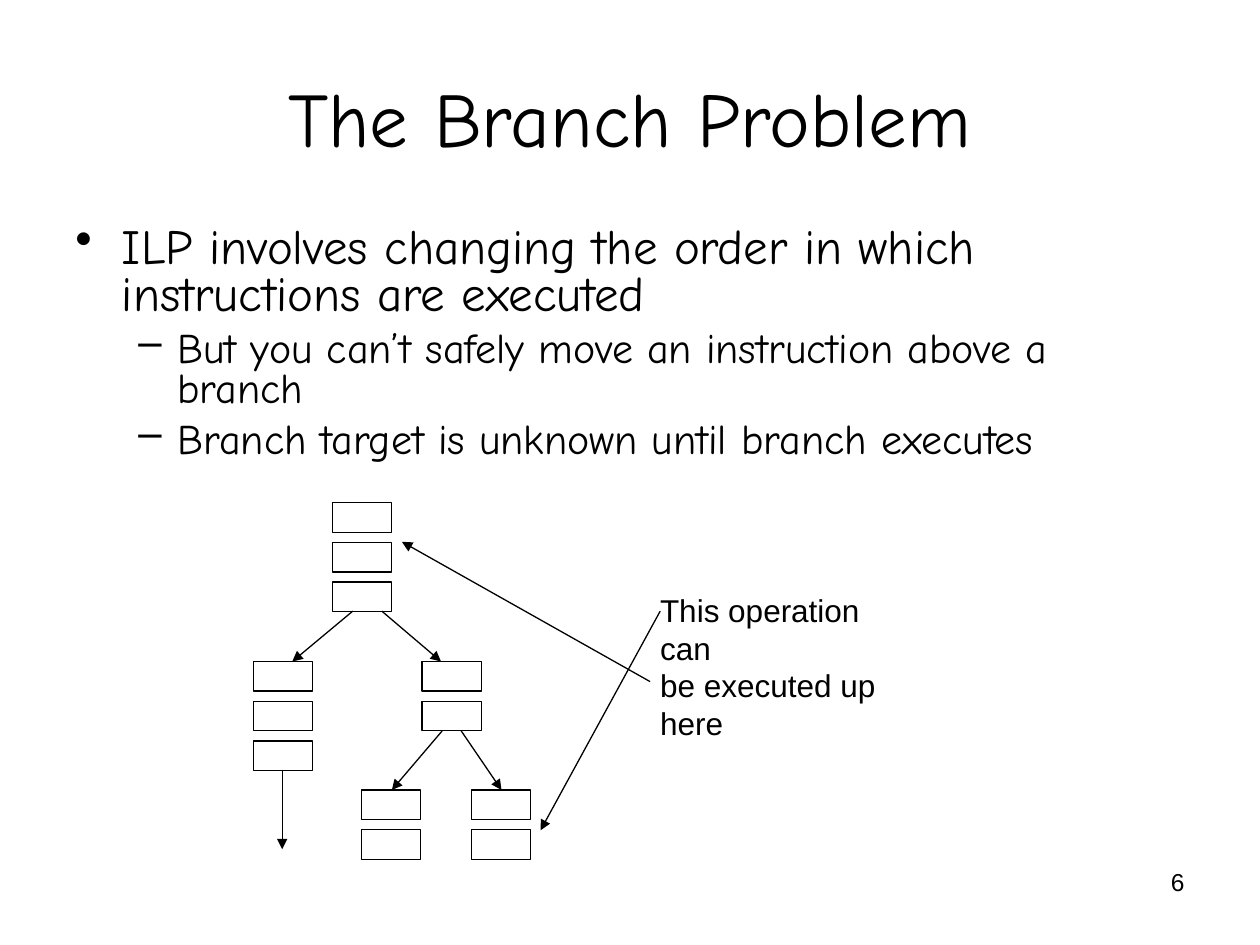
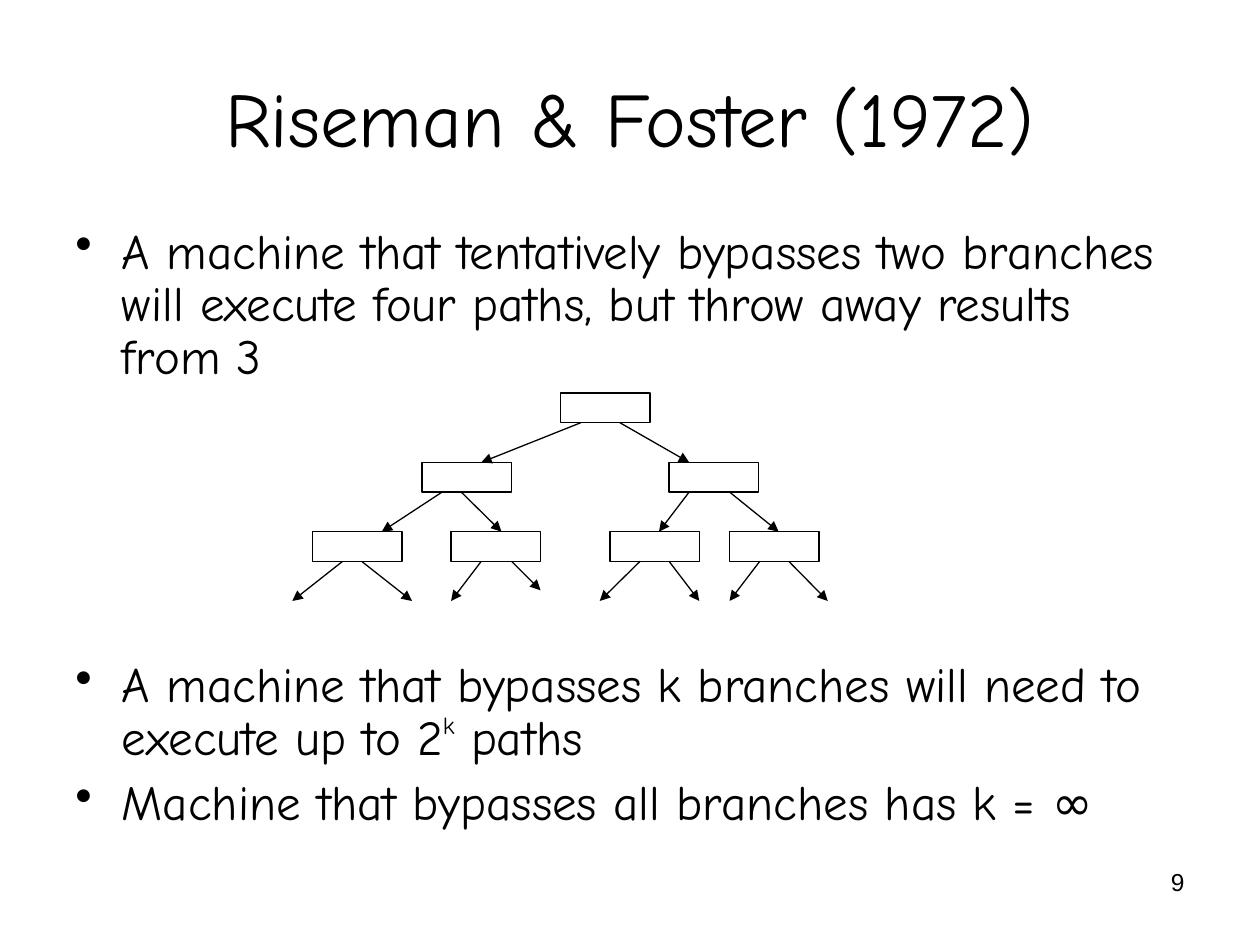
from dataclasses import dataclass
from typing import Sequence

from lxml import etree
from pptx import Presentation
from pptx import util as u
from pptx.dml.color import RGBColor
from pptx.enum import shapes, text
from pptx.oxml.ns import qn

SCALE = u.Inches(1) // 200  # one px is 1/200 inch
BOX_HEIGHT = 47


@dataclass(frozen=True)
class Theme:
    ink: str = "000000"
    display_font: str = "Comic Neue"
    plain_font: str = "Arial"
    title_size: int = 44
    callout_size: int = 18
    number_size: int = 14
    raised_size: int = 24
    line_width: float = 0.75


@dataclass(frozen=True)
class Area:
    left: int
    top: int
    width: int
    height: int


@dataclass(frozen=True)
class Level:
    bullet: str
    size: int
    margin: int
    hanging: int
    space_before: int


@dataclass(frozen=True)
class Span:
    words: str
    raised: bool = False


@dataclass(frozen=True)
class Point:
    level: Level
    spans: Sequence[Span]
    space_before: int | None = None


@dataclass(frozen=True)
class Stack:
    left: int
    top: int
    count: int


@dataclass(frozen=True)
class Arrow:
    x1: int
    y1: int
    x2: int
    y2: int


@dataclass(frozen=True)
class TreeRow:
    """Boxes of one level, and the (start, end) x of the arrows below them."""
    lefts: Sequence[int]
    branches: Sequence[tuple[int, int]]


THEME = Theme()
TITLE_AREA = Area(100, 60, 1800, 250)
NUMBER_AREA = Area(1434, 1366, 466, 104)
MAIN = Level("•", 28, 74, 74, 7)
SUB = Level("–", 24, 162, 62, 6)

BRANCH_POINTS = (
    Point(MAIN, (Span("ILP involves changing the order in which instructions are executed"),)),
    Point(SUB, (Span("But you can’t safely move an instruction above a branch"),)),
    Point(SUB, (Span("Branch target is unknown until branch executes"),)),
)
STACK_WIDTH, STACK_PITCH = 94, 63
STACKS = (
    Stack(528, 798, 3),
    Stack(402, 1050, 3),
    Stack(670, 1050, 2),
    Stack(574, 1254, 2),
    Stack(748, 1254, 2),
)
STACK_ARROWS = (
    Arrow(606, 970, 700, 1050),
    Arrow(560, 970, 464, 1050),
    Arrow(732, 1160, 796, 1254),
    Arrow(702, 1160, 622, 1254),
    Arrow(448, 1222, 448, 1348),
)
CALLOUT_ARROWS = (
    Arrow(1032, 1082, 638, 860),
    Arrow(1048, 970, 858, 1318),
)

DIAGRAM_GAP = 157  # points left free for the tree between two bullets
BYPASS_POINTS = (
    Point(MAIN, (Span("A machine that tentatively bypasses two branches will execute "
                      "four paths, but throw away results from 3"),)),
    Point(MAIN, (Span("A machine that bypasses k branches will need to execute up to 2"),
                 Span("k", raised=True), Span(" paths")), DIAGRAM_GAP),
    Point(MAIN, (Span("Machine that bypasses all branches has k = ∞"),)),
)
TREE_TOP, TREE_PITCH, TREE_WIDTH = 624, 110, 142
BRANCH_DROP = TREE_PITCH - BOX_HEIGHT
SHORT_BRANCH, SHORT_DROP = (812, 858), 46
TREE_ROWS = (
    TreeRow((890,), ((922, 764), (984, 1094))),
    TreeRow((670, 1062), ((702, 606), (732, 796), (1094, 1046), (1158, 1236))),
    TreeRow((496, 716, 968, 1158),
            ((544, 464), (574, 654), (764, 716), SHORT_BRANCH,
             (1016, 952), (1062, 1110), (1206, 1158), (1252, 1314))),
)


def px(length: int) -> u.Emu:
    return u.Emu(length * SCALE)


def ink() -> RGBColor:
    return RGBColor.from_string(THEME.ink)


def style_span(span, size: int, font: str) -> None:
    span.font.size = u.Pt(size)
    span.font.name = font
    span.font.color.rgb = ink()


def add_text_frame(page, area: Area, wrap: bool = True):
    box = page.shapes.add_textbox(px(area.left), px(area.top), px(area.width), px(area.height))
    box.text_frame.word_wrap = wrap
    return box.text_frame


def add_label(page, area: Area, words: str, size: int, font: str,
              align=text.PP_ALIGN.LEFT, anchor=text.MSO_ANCHOR.TOP, wrap: bool = True) -> None:
    frame = add_text_frame(page, area, wrap)
    frame.text = words
    frame.vertical_anchor = anchor
    for para in frame.paragraphs:
        para.alignment = align
        for span in para.runs:
            style_span(span, size, font)


def set_bullet(para, level: Level) -> None:
    props = para._p.get_or_add_pPr()
    props.set("marL", str(px(level.margin)))
    props.set("indent", str(-px(level.hanging)))
    colour = etree.SubElement(props, qn("a:buClr"))
    etree.SubElement(colour, qn("a:srgbClr"), val=THEME.ink)
    etree.SubElement(props, qn("a:buChar"), char=level.bullet)


def add_points(page, area: Area, points: Sequence[Point], line_spacing: float) -> None:
    frame = add_text_frame(page, area)
    for index, point in enumerate(points):
        para = frame.add_paragraph() if index else frame.paragraphs[0]
        level = point.level
        para.level = 0 if level is MAIN else 1
        para.line_spacing = line_spacing
        para.space_before = u.Pt(point.space_before or level.space_before)
        set_bullet(para, level)
        for part in point.spans:
            span = para.add_run()
            span.text = part.words
            style_span(span, THEME.raised_size if part.raised else level.size, THEME.display_font)
            if part.raised:
                span._r.get_or_add_rPr().set("baseline", "50000")


def add_box(page, left: int, top: int, width: int) -> None:
    box = page.shapes.add_shape(shapes.MSO_SHAPE.RECTANGLE,
                                px(left), px(top), px(width), px(BOX_HEIGHT))
    box.shadow.inherit = False
    box.fill.background()
    box.line.color.rgb = ink()
    box.line.width = u.Pt(THEME.line_width)


def add_arrow(page, arrow: Arrow) -> None:
    line = page.shapes.add_connector(shapes.MSO_CONNECTOR.STRAIGHT, px(arrow.x1), px(arrow.y1),
                                     px(arrow.x2), px(arrow.y2))
    line.line.color.rgb = ink()
    line.line.width = u.Pt(THEME.line_width)
    etree.SubElement(line.line._get_or_add_ln(), qn("a:tailEnd"), type="triangle")
    etree.SubElement(line._element.spPr, qn("a:effectLst"))


def add_page(deck, title: str, number: int):
    """Add a blank page with the shared title and page number."""
    page = deck.slides.add_slide(deck.slide_layouts[6])
    add_label(page, NUMBER_AREA, str(number), THEME.number_size, THEME.plain_font,
              align=text.PP_ALIGN.RIGHT)
    add_label(page, TITLE_AREA, title, THEME.title_size, THEME.display_font,
              align=text.PP_ALIGN.CENTER, anchor=text.MSO_ANCHOR.MIDDLE)
    return page


def add_branch_problem(deck) -> None:
    page = add_page(deck, "The Branch Problem", 6)
    add_points(page, Area(100, 350, 1800, 416), BRANCH_POINTS, 0.8)
    for stack in STACKS:
        for step in range(stack.count):
            add_box(page, stack.left, stack.top + step * STACK_PITCH, STACK_WIDTH)
    add_label(page, Area(1028, 928, 450, 200), "This operation can\nbe executed up\nhere",
              THEME.callout_size, THEME.plain_font, wrap=False)
    for arrow in STACK_ARROWS + CALLOUT_ARROWS:
        add_arrow(page, arrow)


def add_bypass_tree(deck) -> None:
    page = add_page(deck, "Riseman & Foster (1972)", 9)
    add_points(page, Area(100, 350, 1800, 990), BYPASS_POINTS, 0.9)
    for depth, row in enumerate(TREE_ROWS):
        top = TREE_TOP + depth * TREE_PITCH
        bottom = top + BOX_HEIGHT
        for left in row.lefts:
            add_box(page, left, top, TREE_WIDTH)
        for branch in row.branches:
            start, end = branch
            drop = SHORT_DROP if branch == SHORT_BRANCH else BRANCH_DROP
            add_arrow(page, Arrow(start, bottom, end, bottom + drop))


def main() -> None:
    deck = Presentation()
    deck.slide_width, deck.slide_height = px(2000), px(1500)
    add_branch_problem(deck)
    add_bypass_tree(deck)
    deck.save("out.pptx")


if __name__ == "__main__":
    main()
